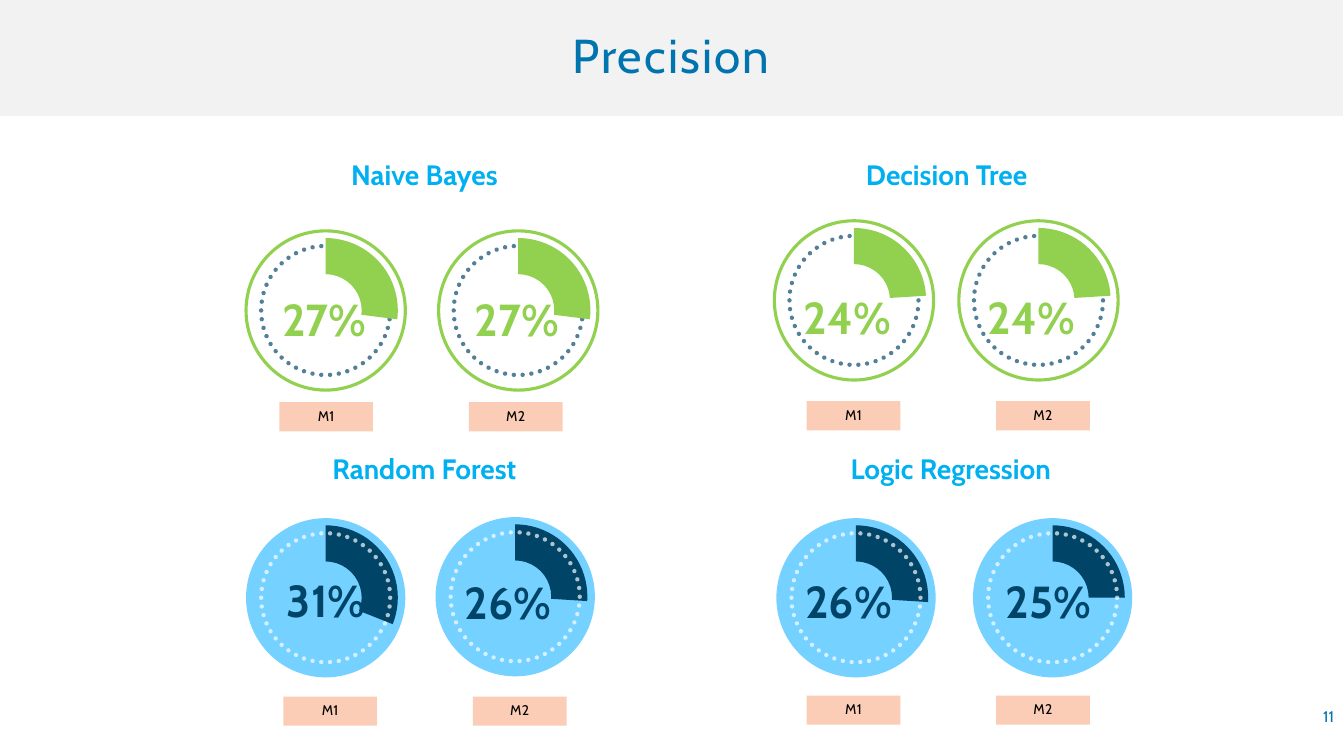
import lxml.etree
import math
import pptx
import pptx.chart.data
import pptx.dml.color
import pptx.enum.chart
import pptx.enum.dml
import pptx.enum.shapes
import pptx.enum.text
import pptx.oxml
import pptx.oxml.ns
import pptx.util
from dataclasses import dataclass

TITLE = "Precision"
PAGE = "11"

# fields: heading, heading centre, heading top, style, tag top, dials
# dial fields: tag, share, centre x, centre y, figure shift x and y, tag left
MODELS = [
    ("Naive Bayes", 4.21, 1.51, "ring", 3.99, [
        ("M1", 0.27, 3.23, 3.08, -0.01, 0.1, 2.77),
        ("M2", 0.27, 5.14, 3.08, -0.01, 0.1, 4.65)]),
    ("Decision Tree", 9.39, 1.51, "ring", 3.98, [
        ("M1", 0.24, 8.47, 2.98, -0.06, 0.18, 8),
        ("M2", 0.24, 10.3, 2.98, -0.07, 0.18, 9.88)]),
    ("Random Forest", 4.21, 4.43, "disc", 6.91, [
        ("M1", 0.31, 3.23, 5.93, 0.01, 0.04, 2.81),
        ("M2", 0.26, 5.11, 5.92, -0.07, 0.07, 4.69)]),
    ("Logic Regression", 9.43, 4.43, "disc", 6.9, [
        ("M1", 0.26, 8.49, 5.93, -0.07, 0.05, 8),
        ("M2", 0.25, 10.44, 5.93, -0.04, 0.05, 9.88)]),
]


@dataclass(frozen=True)
class Theme:
    font: str = "Cabin"
    band: str = "F2F2F2"
    title: str = "0074AF"
    heading: str = "00B0F0"
    tag: str = "FCCDB6"
    black: str = "000000"
    white: str = "FFFFFF"
    green: str = "92D050"
    sky: str = "75D1FF"
    navy: str = "004568"
    title_size: int = 34
    figure_size: int = 32
    heading_size: int = 20
    page_size: int = 11
    tag_size: int = 10


THEME = Theme()
STYLES = {
    "ring": dict(face=THEME.white, edge=THEME.green, dots=THEME.navy, share=THEME.green),
    "disc": dict(face=THEME.sky, edge=None, dots=THEME.white, share=THEME.navy),
}
FACE, DOTS, CHART = 1.58, 1.28, 1.8
PLOT = 0.797
RING_MIDDLE = 0.75 * PLOT / 2
TAG_WIDTH, TAG_HEIGHT = 0.93, 0.29
MIDDLE = pptx.enum.text.MSO_ANCHOR.MIDDLE
TOP = pptx.enum.text.MSO_ANCHOR.TOP
CENTER = pptx.enum.text.PP_ALIGN.CENTER
RIGHT = pptx.enum.text.PP_ALIGN.RIGHT
OVAL = pptx.enum.shapes.MSO_SHAPE.OVAL
RECTANGLE = pptx.enum.shapes.MSO_SHAPE.RECTANGLE

deck = pptx.Presentation()
deck.slide_width = pptx.util.Inches(13.33)
deck.slide_height = pptx.util.Inches(7.5)
slide = deck.slides.add_slide(deck.slide_layouts[6])


def rgb(color):
    return pptx.dml.color.RGBColor.from_string(color)


def inches(*lengths):
    return [pptx.util.Inches(length) for length in lengths]


def square(x, y, side):
    return inches(x - side / 2, y - side / 2, side, side)


def style_font(font, size, color, bold=False):
    font.name = THEME.font
    font.size = pptx.util.Pt(size)
    font.bold = bold
    font.color.rgb = rgb(color)


def write(shape, words, size, color, align=CENTER, anchor=TOP, bold=False, spacing=0, wrap=True):
    frame = shape.text_frame
    frame.text = words
    frame.word_wrap = wrap
    frame.vertical_anchor = anchor
    paragraph = frame.paragraphs[0]
    paragraph.alignment = align
    font = paragraph.runs[0].font
    style_font(font, size, color, bold)
    if spacing:
        font._element.set("spc", str(round(spacing * 100)))
    return paragraph


def block(kind, bounds, fill=None, edge=None, weight=0):
    shape = slide.shapes.add_shape(kind, *bounds)
    shape.shadow.inherit = False
    if fill:
        shape.fill.solid()
        shape.fill.fore_color.rgb = rgb(fill)
    else:
        shape.fill.background()
    if edge:
        shape.line.color.rgb = rgb(edge)
        shape.line.width = pptx.util.Pt(weight)
    else:
        shape.line.fill.background()
    return shape


def dotted_circle(x, y, color):
    circle = block(OVAL, square(x, y, DOTS), edge=color, weight=3.15)
    circle.line.dash_style = pptx.enum.dml.MSO_LINE.ROUND_DOT
    line = circle.line._ln
    line.set("cap", "rnd")
    tint = line.find(".//" + pptx.oxml.ns.qn("a:srgbClr"))
    lxml.etree.SubElement(tint, pptx.oxml.ns.qn("a:alpha")).set("val", "68000")


def manual_layout(parts):
    return pptx.oxml.parse_xml(
        f'<c:layout {pptx.oxml.ns.nsdecls("c")}><c:manualLayout>{parts}'
        '</c:manualLayout></c:layout>')


def figure_label(series, share, color, shift_x, shift_y):
    series.data_labels.show_value = True
    series.data_labels.number_format = "0%"
    series.data_labels.number_format_is_linked = False
    label = series.points[0].data_label
    label.text_frame.text = f"{share:.0%}"
    label.text_frame.word_wrap = False
    style_font(label.text_frame.paragraphs[0].runs[0].font, THEME.figure_size, color, True)
    angle = math.pi * share
    x = shift_x / CHART - RING_MIDDLE * math.sin(angle)
    y = shift_y / CHART + RING_MIDDLE * math.cos(angle)
    entry = label._dLbl
    for layout in entry.findall(pptx.oxml.ns.qn("c:layout")):
        entry.remove(layout)
    entry.insert(1, manual_layout(f'<c:x val="{x:.3f}"/><c:y val="{y:.3f}"/>'))
    entry.addnext(pptx.oxml.parse_xml(
        f'<c:dLbl {pptx.oxml.ns.nsdecls("c")}><c:idx val="1"/><c:delete val="1"/></c:dLbl>'))


def share_chart(x, y, share, color, shift_x, shift_y):
    data = pptx.chart.data.CategoryChartData(number_format="0%")
    data.categories = ["1", "2"]
    data.add_series("Series 1", [share, round(1 - share, 2)])
    chart = slide.shapes.add_chart(
        pptx.enum.chart.XL_CHART_TYPE.DOUGHNUT, *square(x, y, CHART), data).chart
    chart.has_legend = False
    chart.has_title = False
    style_font(chart.font, THEME.tag_size, THEME.black)
    plot = chart.plots[0]
    plot.vary_by_categories = False
    plot._element.find(pptx.oxml.ns.qn("c:holeSize")).set("val", "76")
    series = plot.series[0]
    series.format.fill.solid()
    series.format.fill.fore_color.rgb = rgb(THEME.sky)
    series.format.line.fill.background()
    wedge, rest = series.points[0].format, series.points[1].format
    wedge.fill.solid()
    wedge.fill.fore_color.rgb = rgb(color)
    rest.fill.background()
    for part in (wedge, rest):
        part.line.fill.background()
    figure_label(series, share, color, shift_x, shift_y)
    area = chart._chartSpace.chart.plotArea
    for layout in area.findall(pptx.oxml.ns.qn("c:layout")):
        area.remove(layout)
    edge = (1 - PLOT) / 2
    area.insert(0, manual_layout(
        '<c:layoutTarget val="inner"/><c:xMode val="edge"/><c:yMode val="edge"/>'
        f'<c:x val="{edge:.3f}"/><c:y val="{edge:.3f}"/><c:w val="{PLOT}"/><c:h val="{PLOT}"/>'))


def main():
    band = block(RECTANGLE, inches(-0.01, 0, 13.33, 1.15), THEME.band)
    write(band, TITLE, THEME.title_size, THEME.title, anchor=MIDDLE, spacing=1.6).line_spacing = 0.9
    write(slide.shapes.add_textbox(*inches(10.33, 6.91, 3, 0.4)), PAGE,
          THEME.page_size, THEME.title, align=RIGHT, anchor=MIDDLE)
    for heading, middle, top, style_name, tag_top, dials in MODELS:
        style = STYLES[style_name]
        write(slide.shapes.add_textbox(*inches(middle - 1.43, top, 2.86, 0.44)), heading,
              THEME.heading_size, THEME.heading, bold=True)
        for tag, share, x, y, shift_x, shift_y, tag_left in dials:
            block(OVAL, square(x, y, FACE), style["face"], style["edge"], 2.25)
            if style_name == "ring":
                dotted_circle(x, y, style["dots"])
            share_chart(x, y, share, style["share"], shift_x, shift_y)
            if style_name == "disc":
                dotted_circle(x, y, style["dots"])
            write(block(RECTANGLE, inches(tag_left, tag_top, TAG_WIDTH, TAG_HEIGHT), THEME.tag),
                  tag, THEME.tag_size, THEME.black, spacing=0.3, wrap=False)
    deck.save("out.pptx")


if __name__ == "__main__":
    main()
